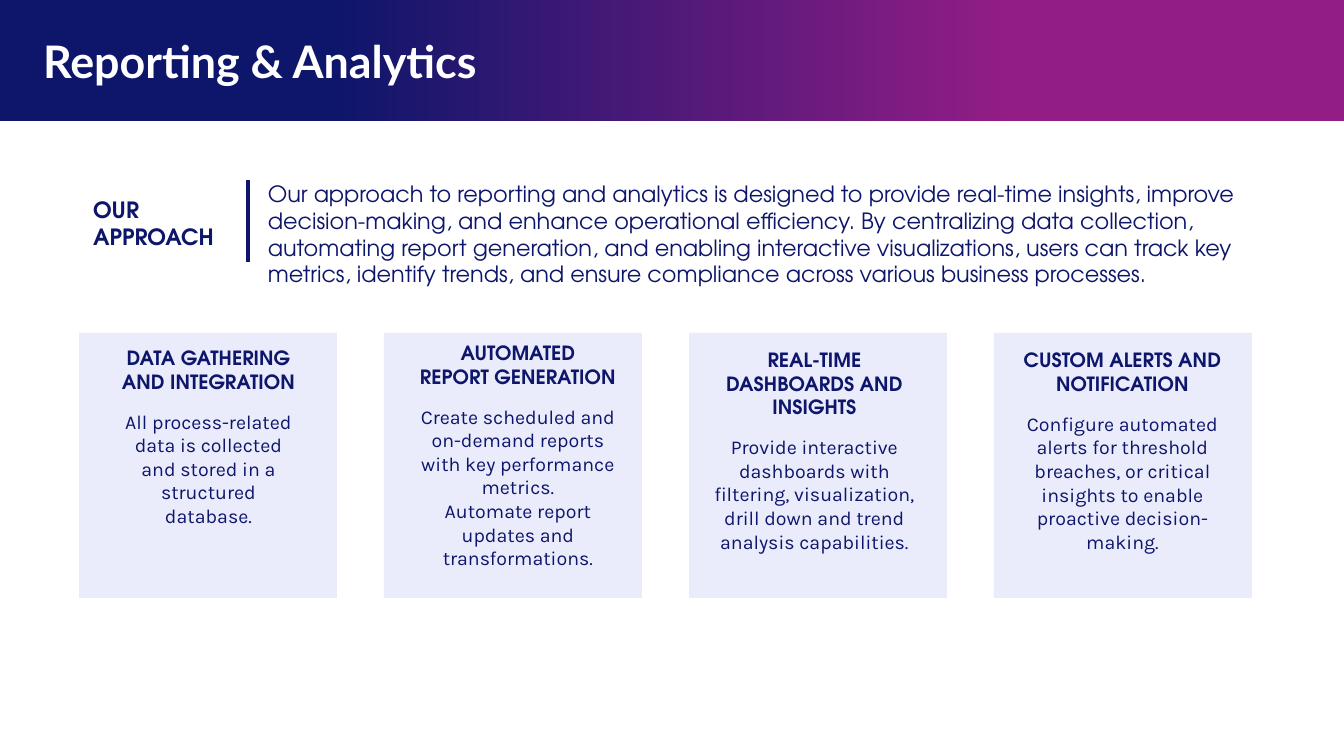
from pptx import Presentation
from pptx import util as u
from pptx.dml.color import RGBColor
from pptx.enum import shapes, text
from pptx.oxml.ns import qn
from lxml import etree

NAVY, PURPLE, LILAC, WHITE = "0E166B", "921D86", "EAECFC", "FFFFFF"
HEAD, BODY = "TeX Gyre Adventor", "Karla"
TITLE = "Reporting & Analytics"
LABEL = "OUR APPROACH"
APPROACH = (
    "Our approach to reporting and analytics is designed to provide real-time insights, "
    "improve decision-making, and enhance operational efficiency. By centralizing data "
    "collection, automating report generation, and enabling interactive visualizations, "
    "users can track key metrics, identify trends, and ensure compliance across various "
    "business processes."
)
CARDS = [
    {"heading": ["DATA GATHERING AND INTEGRATION"],
     "body": ["All process-related data is collected and stored in a structured database."],
     "box": (107, 341, 203, 194)},
    {"heading": ["AUTOMATED", "REPORT GENERATION"],
     "body": ["Create scheduled and on-demand reports with key performance metrics.",
              "Automate report updates and transformations."],
     "box": (403, 336, 230, 217)},
    {"heading": ["REAL-TIME DASHBOARDS AND INSIGHTS"],
     "body": ["Provide interactive dashboards with filtering, visualization, drill down "
              "and trend analysis capabilities."],
     "box": (703, 343, 223, 217)},
    {"heading": ["CUSTOM ALERTS AND", "NOTIFICATION"],
     "body": ["Configure automated alerts for threshold breaches, or critical insights "
              "to enable proactive decision-making."],
     "box": (1011, 343, 223, 241)},
]
WIDTH, HEIGHT = 1344, 756
CARD_LEFT, CARD_TOP, CARD_PITCH, CARD_W, CARD_H = 79, 333, 305, 258, 265


def px(n):
    return u.Emu(round(n * 914400 / 100.8))


def rgb(value):
    return RGBColor.from_string(value)


def style(p, font, size, color, bold=False):
    p.font.name = font
    p.font.size = u.Pt(size)
    p.font.bold = bold
    p.font.color.rgb = rgb(color)


def add_rect(slide, *box):
    sp = slide.shapes.add_shape(shapes.MSO_SHAPE.RECTANGLE, *map(px, box))
    sp.shadow.inherit = False
    sp.line.fill.background()
    return sp


def add_text(slide, box, lines, inset=None):
    tf = slide.shapes.add_textbox(*map(px, box)).text_frame
    tf.word_wrap = True
    if inset:
        tf.margin_left = tf.margin_right = tf.margin_top = tf.margin_bottom = px(inset)
    tf.text = "\n".join(lines)
    return tf.paragraphs


def add_header(slide):
    band = add_rect(slide, 0, 0, WIDTH, 121)
    band.fill.gradient()
    band.fill.gradient_angle = 0
    for stop, (position, color) in zip(band.fill.gradient_stops, [(0.25, NAVY), (0.75, PURPLE)]):
        stop.position = position
        stop.color.rgb = rgb(color)
    title = slide.shapes.title
    title._element.addprevious(band._element)
    title.left, title.top, title.width, title.height = map(px, (0, 18, WIDTH, 85))
    tf = title.text_frame
    tf.text = TITLE
    tf.auto_size = text.MSO_AUTO_SIZE.NONE
    tf.vertical_anchor = text.MSO_ANCHOR.MIDDLE
    tf.margin_left = px(43)
    p = tf.paragraphs[0]
    p.alignment = text.PP_ALIGN.LEFT
    style(p, "Lato", 32, WHITE, True)


def add_approach(slide):
    style(add_text(slide, (80, 183, 168, 69), [LABEL], 13)[0], HEAD, 16, NAVY, True)
    style(add_text(slide, (258, 175, 1007, 119), [APPROACH])[0], HEAD, 16, NAVY)
    rule = slide.shapes.add_connector(
        shapes.MSO_CONNECTOR.STRAIGHT, *map(px, (248, 180, 248, 262)))
    rule.line.color.rgb = rgb(NAVY)
    rule.line.width = u.Pt(2.25)
    etree.SubElement(rule._element.spPr, qn("a:effectLst"))


def add_card(slide, index, card):
    sp = add_rect(slide, CARD_LEFT + index * CARD_PITCH, CARD_TOP, CARD_W, CARD_H)
    sp.fill.solid()
    sp.fill.fore_color.rgb = rgb(LILAC)
    count = len(card["heading"])
    paragraphs = add_text(slide, card["box"], card["heading"] + card["body"])
    for i, p in enumerate(paragraphs):
        p.alignment = text.PP_ALIGN.CENTER
        style(p, HEAD if i < count else BODY, 14, NAVY, i < count)
    paragraphs[count - 1].space_after = u.Pt(12)


def main():
    prs = Presentation()
    prs.slide_width, prs.slide_height = px(WIDTH), px(HEIGHT)
    slide = prs.slides.add_slide(prs.slide_layouts[5])
    add_header(slide)
    add_approach(slide)
    for index, card in enumerate(CARDS):
        add_card(slide, index, card)
    prs.save("out.pptx")


if __name__ == "__main__":
    main()
